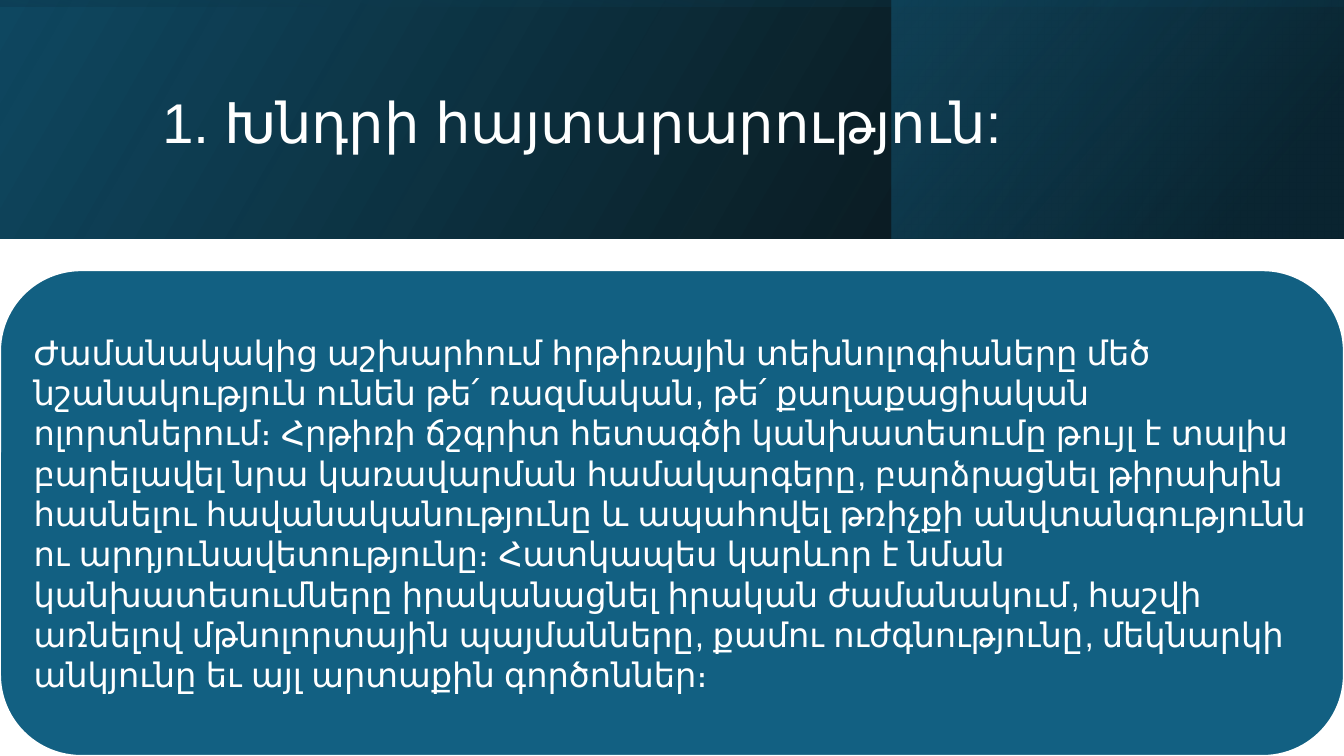
from pptx import Presentation
from pptx.dml.color import RGBColor
from pptx.enum.shapes import MSO_SHAPE
from pptx.enum.text import MSO_ANCHOR, MSO_AUTO_SIZE, PP_ALIGN
from pptx.oxml import parse_xml
from pptx.oxml.ns import nsdecls
from pptx.util import Inches, Pt

RECT = MSO_SHAPE.RECTANGLE
ROUND = MSO_SHAPE.ROUNDED_RECTANGLE
MIDDLE = MSO_ANCHOR.MIDDLE
LEFT = PP_ALIGN.LEFT
FIXED = MSO_AUTO_SIZE.NONE

WIDE, HIGH = 13.33, 7.5
BAND = 2.37 / HIGH
SPLIT = 8.84 / WIDE
COLORS = {
    "black": "000000",
    "navy": "0F4861",
    "deep": "0A3041",
    "teal": "156082",
    "panel": "126082",
    "white": "FFFFFF",
}

TITLE = "1. Խնդրի հայտարարություն:"
BODY = (
    "Ժամանակակից աշխարհում հրթիռային տեխնոլոգիաները մեծ նշանակություն ունեն "
    "թե՛ ռազմական, թե՛ քաղաքացիական ոլորտներում։ Հրթիռի ճշգրիտ հետագծի "
    "կանխատեսումը թույլ է տալիս բարելավել նրա կառավարման համակարգերը, "
    "բարձրացնել թիրախին հասնելու հավանականությունը և ապահովել թռիչքի "
    "անվտանգությունն ու արդյունավետությունը։ Հատկապես կարևոր է նման "
    "կանխատեսումները իրականացնել իրական ժամանակում, հաշվի առնելով "
    "մթնոլորտային պայմանները, քամու ուժգնությունը, մեկնարկի անկյունը եւ այլ "
    "արտաքին գործոններ։"
)


class Deck:
    def __init__(self, font):
        self.font = font
        self.prs = Presentation()
        self.prs.slide_width = Inches(WIDE)
        self.prs.slide_height = Inches(HIGH)
        self.slide = self.prs.slides.add_slide(self.prs.slide_layouts[5])

    def box(self, x, y, w, h):
        return Inches(x * WIDE), Inches(y * HIGH), Inches(w * WIDE), Inches(h * HIGH)

    def color(self, name):
        return RGBColor.from_string(COLORS[name])

    def shape(self, kind, area):
        item = self.slide.shapes.add_shape(kind, *self.box(*area))
        item.shadow.inherit = False
        return item

    def band(self, x, w, stops, angle, turned=False):
        item = self.shape(RECT, (x, 0, w, BAND))
        item.line.fill.background()
        if turned:
            mid_x = item.left + item.width // 2
            mid_y = item.top + item.height // 2
            item.width, item.height = item.height, item.width
            item.left = mid_x - item.width // 2
            item.top = mid_y - item.height // 2
            item.rotation = 270
        props = item._element.spPr
        props.xfrm.set("flipH", "1")
        marks = "".join(
            f'<a:gs pos="{spot * 1000}"><a:srgbClr val="{COLORS[name]}">'
            f'<a:alpha val="{alpha * 1000}"/></a:srgbClr></a:gs>'
            for spot, name, alpha in stops
        )
        grad = parse_xml(
            f'<a:gradFill {nsdecls("a")} rotWithShape="1"><a:gsLst>{marks}</a:gsLst>'
            f'<a:lin ang="{angle * 60000}" scaled="0"/></a:gradFill>'
        )
        props.prstGeom.addnext(grad)

    def text(self, frame, words, size, pad, space=1.0):
        frame.word_wrap = True
        frame.auto_size = FIXED
        frame.vertical_anchor = MIDDLE
        frame.margin_left = frame.margin_right = Inches(0.1)
        frame.margin_top = frame.margin_bottom = Inches(pad)
        para = frame.paragraphs[0]
        para.alignment = LEFT
        para.line_spacing = space
        run = para.add_run()
        run.text = words
        run.font.name = self.font
        run.font.size = Pt(size)
        run.font.color.rgb = self.color("white")

    def title(self, words, area):
        item = self.slide.shapes.title
        item.left, item.top, item.width, item.height = self.box(*area)
        self.text(item.text_frame, words, 40, 0.05, 0.9)
        self.slide.shapes._spTree.append(item._element)

    def panel(self, words, area):
        item = self.shape(ROUND, area)
        item.adjustments[0] = 0.167
        item.fill.solid()
        item.fill.fore_color.rgb = self.color("panel")
        item.line.color.rgb = self.color("white")
        item.line.width = Pt(1.5)
        self.text(item.text_frame, words, 24, 0.1)


def main():
    deck = Deck("Arial")
    deck.band(0, 1, [(0, "black", 96), (100, "navy", 100)], 330)
    deck.band(
        SPLIT, 1 - SPLIT, [(0, "deep", 68), (19, "deep", 68), (100, "teal", 48)], 320
    )
    deck.band(
        0,
        1,
        [(0, "navy", 16), (23, "navy", 16), (99, "black", 45), (100, "black", 45)],
        350,
        turned=True,
    )
    deck.title(TITLE, (1.51 / WIDE, 0.38 / HIGH, 10.63 / WIDE, 1.72 / HIGH))
    deck.panel(BODY, (0, 2.68 / HIGH, 1, 4.82 / HIGH))
    deck.prs.save("out.pptx")


if __name__ == "__main__":
    main()
